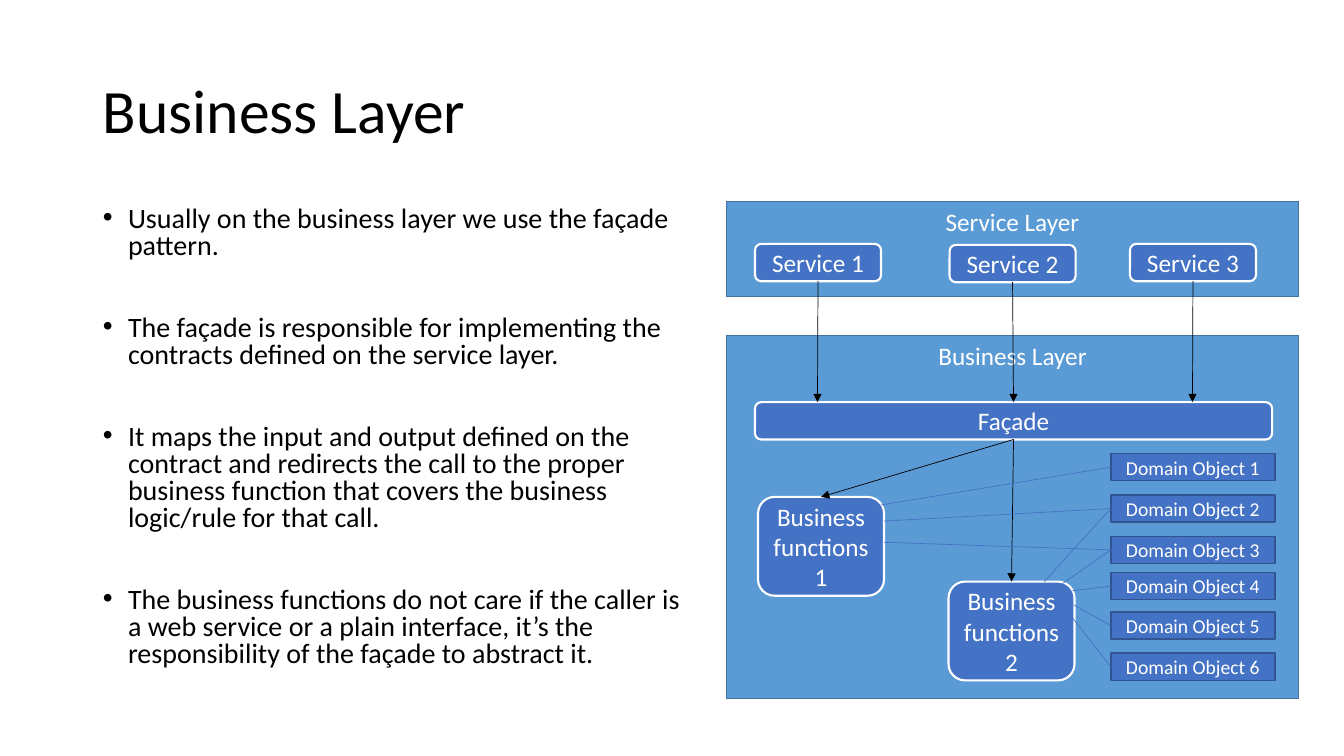
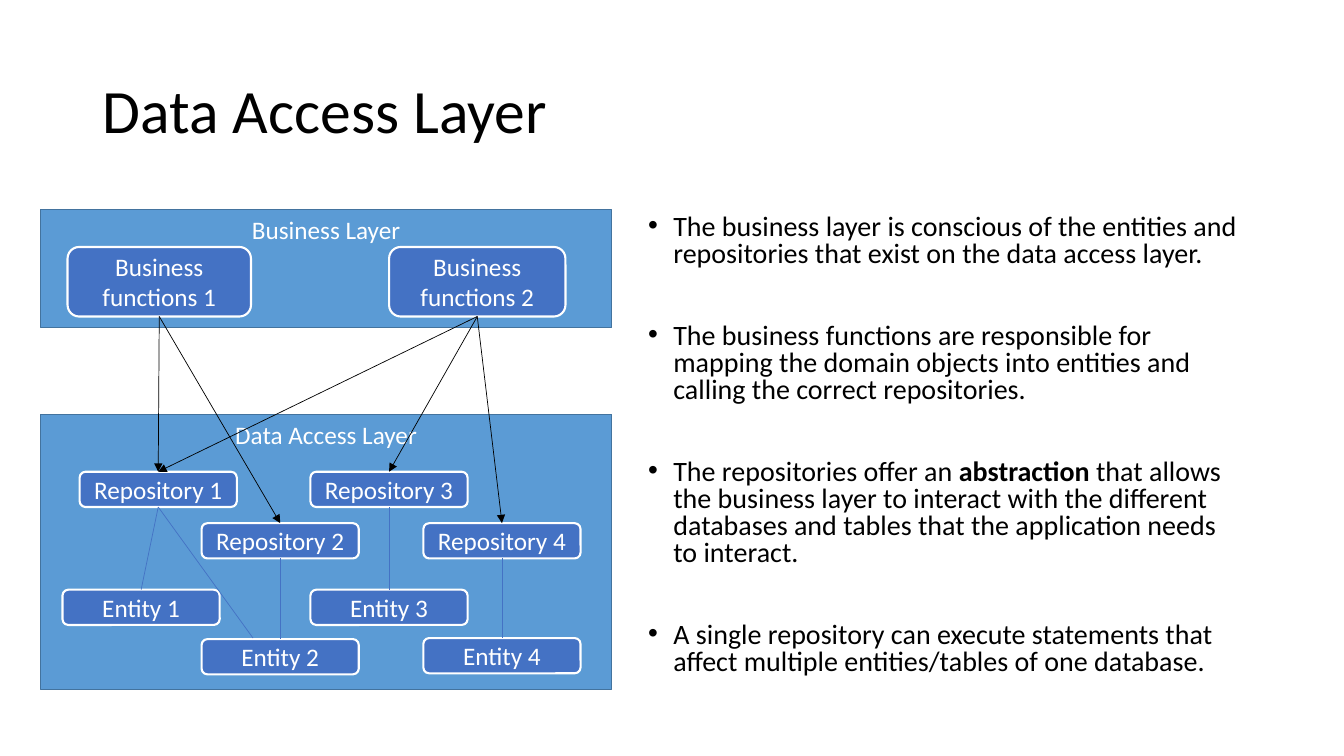
from lxml import etree
from pptx import Presentation, util as u
from pptx.dml import color
from pptx.enum import shapes, text
from pptx.oxml import ns

CELL = u.Inches(0.1)
COLS, ROWS = 133.33, 75
TOP, LEFT, BOTTOM = 0, 1, 2
BLACK, WHITE, BLUE = "000000", "FFFFFF", "4472C4"
RECT = shapes.MSO_SHAPE.RECTANGLE
ROUND = shapes.MSO_SHAPE.ROUNDED_RECTANGLE
STYLES = {
    "panel": dict(kind=RECT, fill="5B9BD5", line="43739E", width=1, size=18,
                  anchor=text.MSO_ANCHOR.TOP),
    "box": dict(kind=ROUND, fill=BLUE, line=WHITE, width=1.5, size=18,
                anchor=text.MSO_ANCHOR.MIDDLE),
    "object": dict(kind=RECT, fill=BLUE, line="325491", width=1, size=14,
                   anchor=text.MSO_ANCHOR.MIDDLE),
}


def rgb(value):
    return color.RGBColor.from_string(value)


def cells(*values):
    return [u.Emu(round(v * CELL)) for v in values]


def assign(target, values):
    for name, value in values.items():
        setattr(target, name, value)


class Deck:
    """Hold the shared style and the slide being built, in 0.1 inch cells."""

    def __init__(self):
        self.prs = Presentation()
        self.prs.slide_width, self.prs.slide_height = cells(COLS, ROWS)

    def run(self, p, words, size, shade, bold=False):
        r = p.add_run()
        r.text = words
        assign(r.font, dict(name="Calibri", size=u.Pt(size), bold=bold))
        r.font.color.rgb = rgb(shade)

    def place(self, sp, at):
        assign(sp, dict(zip(("left", "top", "width", "height"), cells(*at))))
        tf = sp.text_frame
        assign(tf, dict(word_wrap=True, auto_size=text.MSO_AUTO_SIZE.NONE))
        return tf

    def slide(self, title):
        self.s = self.prs.slides.add_slide(self.prs.slide_layouts[1])
        tf = self.place(self.s.shapes.title, (9.2, 4, 115, 14.5))
        tf.vertical_anchor = text.MSO_ANCHOR.MIDDLE
        p = tf.paragraphs[0]
        assign(p, dict(alignment=text.PP_ALIGN.LEFT, line_spacing=0.9))
        self.run(p, title, 44, BLACK)

    def bullets(self, col, row, items):
        tf = self.place(self.s.placeholders[1], (col, row, 60.8, 47.6))
        for i, item in enumerate(items):
            p = tf.add_paragraph() if i else tf.paragraphs[0]
            gap = 39.5 if i else 10
            assign(p, dict(line_spacing=0.8, space_before=u.Pt(gap)))
            pPr = p._p.get_or_add_pPr()
            for name, inches in (("marL", 0.25), ("indent", -0.25)):
                pPr.set(name, str(int(u.Inches(inches))))
            for j, words in enumerate(item.split("**")):
                self.run(p, words, 20, BLACK, bool(j % 2))

    def shape(self, style, label, *at):
        f = STYLES[style]
        sp = self.s.shapes.add_shape(f["kind"], *cells(*at))
        sp.shadow.inherit = False
        sp.fill.solid()
        sp.fill.fore_color.rgb = rgb(f["fill"])
        sp.line.color.rgb = rgb(f["line"])
        sp.line.width = u.Pt(f["width"])
        tf = sp.text_frame
        assign(tf, dict(word_wrap=True, vertical_anchor=f["anchor"]))
        p = tf.paragraphs[0]
        p.alignment = text.PP_ALIGN.CENTER
        self.run(p, label, f["size"], WHITE)
        return sp

    def link(self, start, end, arrow=False):
        points = [(0, 0) if hasattr(e[0], "left") else e for e in (start, end)]
        cx = self.s.shapes.add_connector(
            shapes.MSO_CONNECTOR.STRAIGHT, *cells(*points[0], *points[1]))
        for e, connect in ((start, cx.begin_connect), (end, cx.end_connect)):
            if hasattr(e[0], "left"):
                connect(*e)
        cx.line.color.rgb = rgb(BLACK if arrow else BLUE)
        cx.line.width = u.Pt(0.5)
        if arrow:
            etree.SubElement(cx.line._get_or_add_ln(), ns.qn("a:tailEnd"),
                             type="triangle")
        etree.SubElement(cx._element.spPr, ns.qn("a:effectLst"))


def business(d):
    d.slide("Business Layer")
    d.bullets(9.2, 20, [
        "Usually on the business layer we use the façade pattern.",
        "The façade is responsible for implementing the contracts defined on "
        "the service layer.",
        "It maps the input and output defined on the contract and redirects "
        "the call to the proper business function that covers the business "
        "logic/rule for that call.",
        "The business functions do not care if the caller is a web service or "
        "a plain interface, it’s the responsibility of the façade to "
        "abstract it.",
    ])
    d.shape("panel", "Service Layer", 72.1, 20, 56.7, 9.4)
    d.shape("panel", "Business Layer", 72.1, 33.3, 56.7, 36)
    services = [d.shape("box", f"Service {i}", col, row, 12.5, 3.7)
                for i, (col, row) in enumerate(
                    ((74.9, 24.2), (94.2, 24.3), (112.1, 24.2)), 1)]
    facade = d.shape("box", "Façade", 74.9, 39.9, 51.3, 3.7)
    functions = [d.shape("box", f"Business functions {i}", col, row, 12.5, 9.8)
                 for i, (col, row) in enumerate(((75.2, 49.3), (94.1, 57.7)), 1)]
    objects = [d.shape("object", f"Domain Object {i}", 110.2, row, 16.3, 2.7)
               for i, row in enumerate((45, 49.1, 53.2, 56.8, 60.7, 64.8), 1)]
    for sp in functions:
        d.link((facade, BOTTOM), (sp, TOP), arrow=True)
    for sp, end in zip(services, ((81.1, 39.9), (facade, TOP), (118.3, 39.9))):
        d.link((sp, BOTTOM), end, arrow=True)
    for col, row, i in ((87.4, 50.1, 0), (87.7, 51.7, 1), (87.7, 53.8, 2),
                        (103.6, 57.7, 1), (105.4, 57.9, 2), (106.4, 58.6, 3),
                        (106.5, 60, 4), (106.4, 61.3, 5)):
        d.link((col, row), (objects[i], LEFT))


def data_access(d):
    d.slide("Data Access Layer")
    d.bullets(63.3, 20.8, [
        "The business layer is conscious of the entities and repositories "
        "that exist on the data access layer.",
        "The business functions are responsible for mapping the domain "
        "objects into entities and calling the correct repositories.",
        "The repositories offer an **abstraction** that allows the business "
        "layer to interact with the different databases and tables that the "
        "application needs to interact.",
        "A single repository can execute statements that affect multiple "
        "entities/tables of one database.",
    ])
    d.shape("panel", "Data Access Layer", 4, 41.1, 56.7, 27.3)
    d.shape("panel", "Business Layer", 4, 20.8, 56.7, 11.7)
    functions = [d.shape("box", f"Business functions {i}", col, 24.5, width, 6.9)
                 for i, (col, width) in enumerate(((6.7, 18.2), (38.6, 17.5)), 1)]
    repositories, entities = [
        [d.shape("box", f"{name} {i}", col, row, 15.6, 3.5)
         for i, (col, row) in enumerate(spots, 1)]
        for name, spots in (
            ("Repository", ((7.9, 46.8), (20, 51.9), (30.8, 46.8), (42, 51.9))),
            ("Entity", ((6.2, 58.5), (20, 63.4), (30.8, 58.5), (42, 63.3))))]
    for repository, entity in zip(repositories, entities):
        d.link((repository, BOTTOM), (entity, TOP))
    d.link((repositories[0], BOTTOM), (25.1, 63.3))
    for f, r in ((0, 0), (1, 0), (0, 1), (1, 3), (1, 2)):
        d.link((functions[f], BOTTOM), (repositories[r], TOP), arrow=True)


def main():
    d = Deck()
    business(d)
    data_access(d)
    d.prs.save("out.pptx")


if __name__ == "__main__":
    main()
